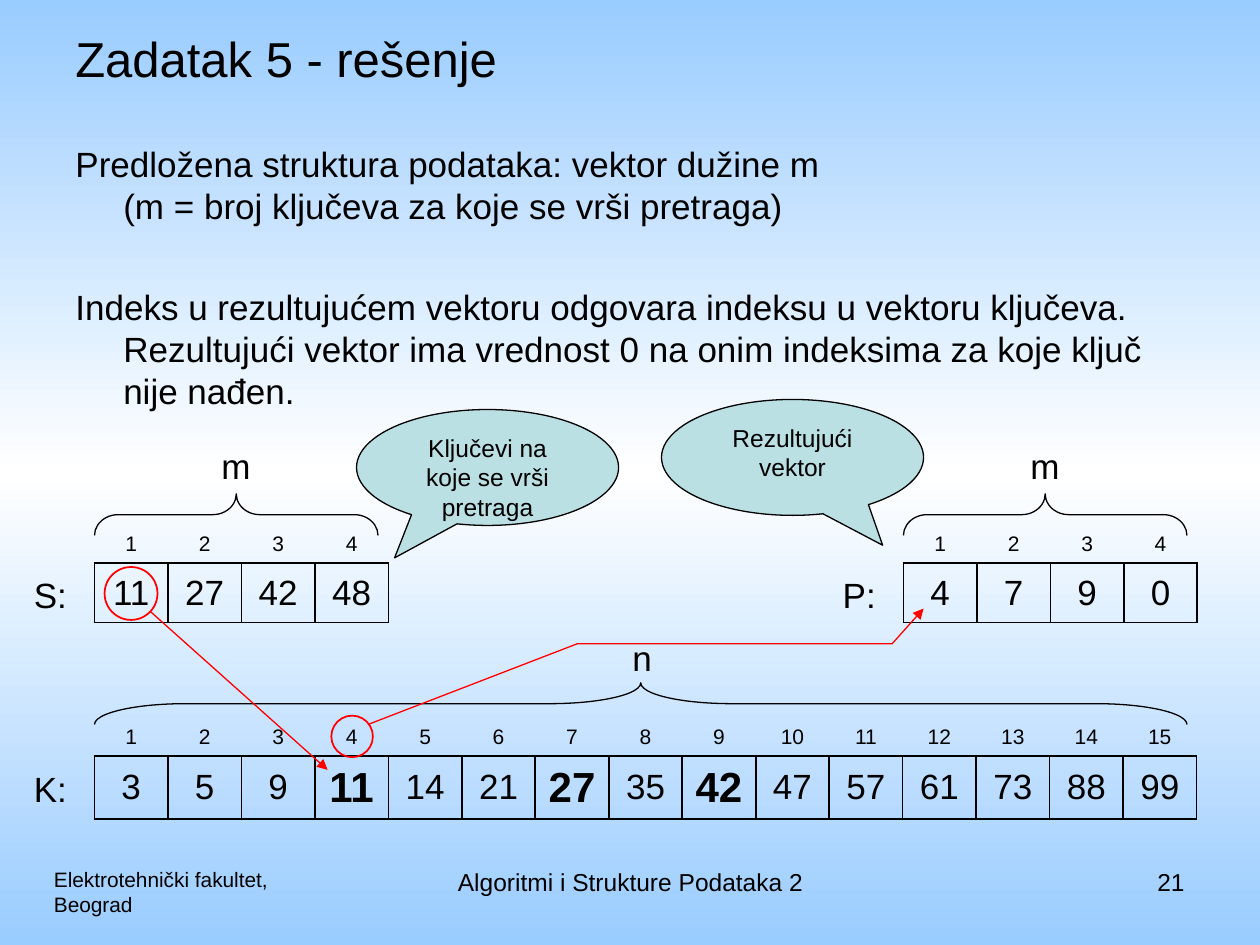
from dataclasses import dataclass

from pptx import Presentation
from pptx.dml.color import RGBColor
from pptx.enum.shapes import MSO_CONNECTOR, MSO_SHAPE
from pptx.enum.text import MSO_ANCHOR, PP_ALIGN
from pptx.oxml import parse_xml
from pptx.oxml.ns import nsdecls, qn
from pptx.util import Inches, Pt


@dataclass(frozen=True)
class Theme:
    font: str = "Arial"
    ink: str = "000000"
    mark: str = "FF0000"
    bubble: str = "BBE0E3"
    sky: str = "99CCFF"
    mist: str = "FFFFFF"
    title: float = 28
    hit: float = 24
    body: float = 20
    note: float = 14
    index: float = 12
    small: float = 11.9
    thin: float = 0.75
    ring: float = 1
    grid: float = 1.08


PLAIN_GRID = "{2D5ABB26-0587-4C30-8999-92F81FD0307C}"
CELL = 8.75 / 15
HEAD = 0.3
DEPTH = 0.33


def node(xml):
    tag = xml.split(" ")[0].rstrip("/>").lstrip("<")
    return parse_xml(xml.replace(tag, f"{tag} {nsdecls('a')}", 1))


def box(*sides):
    return [Inches(side) for side in sides]


class Sheet:
    def __init__(self, slide, theme):
        self.slide, self.theme = slide, theme
        self.shapes = slide.shapes

    def sky(self):
        theme = self.theme
        fill = self.slide.background.fill
        fill.gradient()
        fill.gradient_angle = 270
        stops = next(self.slide.element.iter(qn("a:gsLst")))
        for stop in list(stops):
            stops.remove(stop)
        for place, color in ((0, theme.sky), (50, theme.mist), (100, theme.sky)):
            stops.append(node(f'<a:gs pos="{place * 1000}"><a:srgbClr val="{color}"/></a:gs>'))

    def style(self, para, size, align=PP_ALIGN.LEFT, bold=False):
        para.alignment = align
        font = para.font
        font.name, font.size, font.bold = self.theme.font, Pt(size), bold
        font.color.rgb = RGBColor.from_string(self.theme.ink)

    def text(self, area, lines, size, align=PP_ALIGN.LEFT, wrap=True,
             anchor=MSO_ANCHOR.TOP, hang=0, gap=0):
        frame = self.shapes.add_textbox(*box(*area)).text_frame
        frame.word_wrap, frame.vertical_anchor = wrap, anchor
        for i, line in enumerate(lines):
            para = frame.add_paragraph() if i else frame.paragraphs[0]
            para.text = line
            if hang:
                props = para._p.get_or_add_pPr()
                props.set("marL", str(Inches(hang)))
                props.set("indent", str(-Inches(hang)))
            if i and gap:
                para.space_before = Pt(gap)
            self.style(para, size, align)

    def label(self, left, top, word, width=0.46):
        self.text((left, top, width, 0.44), [word], self.theme.body, wrap=False)

    def vector(self, left, top, values, height, hits=()):
        """Table with an index row above a row of framed values."""
        theme = self.theme
        count = len(values)
        frame = self.shapes.add_table(2, count, *box(left, top, CELL * count, HEAD + height))
        table = frame.table
        table.first_row = table.horz_banding = False
        next(frame.element.iter(qn("a:tableStyleId"))).text = PLAIN_GRID
        table.rows[0].height, table.rows[1].height = box(HEAD, height)
        for i, value in enumerate(values):
            table.columns[i].width = Inches(CELL)
            hit = value in hits
            self.cell(table.cell(0, i), i + 1, theme.index)
            self.cell(table.cell(1, i), value, theme.hit if hit else theme.body, hit, True)

    def cell(self, cell, value, size, bold=False, framed=False):
        cell.vertical_anchor = MSO_ANCHOR.MIDDLE
        if framed:
            props = cell._tc.get_or_add_tcPr()
            for side in "LRTB":
                props.append(node(
                    f'<a:ln{side} w="{Pt(self.theme.grid)}"><a:solidFill>'
                    f'<a:srgbClr val="{self.theme.ink}"/></a:solidFill></a:ln{side}>'))
        cell.fill.background()
        para = cell.text_frame.paragraphs[0]
        para.text = str(value)
        self.style(para, size, PP_ALIGN.CENTER, bold)

    def stroke(self, shape, color, width):
        shape.line.color.rgb = RGBColor.from_string(color)
        shape.line.width = Pt(width)

    def outline(self, shape, color, width):
        """Leave a shape with its line only."""
        shape.shadow.inherit = False
        shape.fill.background()
        self.stroke(shape, color, width)

    def brace(self, left, top, span):
        """Brace that lies over a span and points up."""
        mid = left + span / 2
        shape = self.shapes.add_shape(MSO_SHAPE.LEFT_BRACE, *box(
            mid - DEPTH / 2, top + DEPTH / 2 - span / 2, DEPTH, span))
        shape.rotation = 90
        shape.adjustments[0] = span / 12 / DEPTH
        self.outline(shape, self.theme.ink, self.theme.thin)

    def bubble(self, left, top, words, tip):
        shape = self.shapes.add_shape(MSO_SHAPE.OVAL_CALLOUT, *box(left, top, 2.08, 0.92))
        self.outline(shape, self.theme.ink, self.theme.thin)
        shape.fill.solid()
        shape.fill.fore_color.rgb = RGBColor.from_string(self.theme.bubble)
        shape.adjustments[0], shape.adjustments[1] = tip
        frame = shape.text_frame
        frame.word_wrap, frame.vertical_anchor = True, MSO_ANCHOR.TOP
        para = frame.paragraphs[0]
        para.text = words
        self.style(para, self.theme.note, PP_ALIGN.CENTER)

    def ring(self, left, top, size):
        shape = self.shapes.add_shape(MSO_SHAPE.OVAL, *box(left, top, size, size))
        self.outline(shape, self.theme.mark, self.theme.ring)

    def tip(self, shape):
        next(shape.element.iter(qn("a:ln"))).append(node('<a:tailEnd type="triangle"/>'))

    def arrow(self, start, end):
        line = self.shapes.add_connector(MSO_CONNECTOR.STRAIGHT, *box(*start, *end))
        self.stroke(line, self.theme.mark, self.theme.thin)
        self.tip(line)
        line.element.spPr.append(node("<a:effectLst/>"))

    def route(self, start, *points):
        """Bent arrow through the given points."""
        form = self.shapes.build_freeform(*box(*start))
        form.add_line_segments([box(*point) for point in points], close=False)
        shape = form.convert_to_shape()
        self.outline(shape, self.theme.mark, self.theme.thin)
        self.tip(shape)


def main():
    deck = Presentation()
    deck.slide_width, deck.slide_height = box(10, 7.5)
    theme = Theme()
    sheet = Sheet(deck.slides.add_slide(deck.slide_layouts[6]), theme)
    sheet.sky()

    sheet.text((0.5, 0.17, 9, 0.58), ["Zadatak 5 - rešenje"], theme.title,
               anchor=MSO_ANCHOR.MIDDLE)
    sheet.text((0.5, 1.08, 9.08, 2.25), [
        "Predložena struktura podataka: vektor dužine m\v"
        "(m = broj ključeva za koje se vrši pretraga)",
        "Indeks u rezultujućem vektoru odgovara indeksu u vektoru ključeva. "
        "Rezultujući vektor ima vrednost 0 na onim indeksima za koje ključ nije nađen.",
    ], theme.body, hang=0.38, gap=34)

    keys = [3, 5, 9, 11, 14, 21, 27, 35, 42, 47, 57, 61, 73, 88, 99]
    sheet.vector(0.75, 5.7, keys, 0.5, hits=(11, 27, 42))
    sheet.label(0.17, 6.04, "K:")
    sheet.brace(0.75, 5.42, 8.67)
    sheet.label(4.92, 5, "n", 0.35)
    for left, name, values in ((0.75, "S:", [11, 27, 42, 48]), (7.17, "P:", [4, 7, 9, 0])):
        sheet.vector(left, 4.17, values, 0.47)
        sheet.label(left - 0.58, 4.5, name)
        sheet.brace(left, 3.92, 2.25)
        sheet.label(left + 0.91, 3.48, "m", 0.43)

    sheet.bubble(2.83, 3.25, "Ključevi na koje se vrši pretraga", (-0.355, 0.78))
    sheet.bubble(5.25, 3.17, "Rezultujući\vvektor", (0.344, 0.758))
    sheet.ring(0.83, 4.5, 0.42)
    sheet.arrow((1.19, 4.85), (2.6, 6.11))
    sheet.ring(2.63, 5.68, 0.33)
    sheet.route((2.92, 5.75), (4.58, 5.11), (7.08, 5.11), (7.33, 4.83))

    sheet.text((0.33, 6.83, 3, 0.52), ["Elektrotehnički fakultet,", "Beograd"], theme.small)
    sheet.text((3.42, 6.83, 3.17, 0.52), ["Algoritmi i Strukture Podataka 2"],
               theme.note, PP_ALIGN.CENTER)
    sheet.text((7.17, 6.83, 2.33, 0.52), ["21"], theme.note, PP_ALIGN.RIGHT)
    deck.save("out.pptx")


if __name__ == "__main__":
    main()
